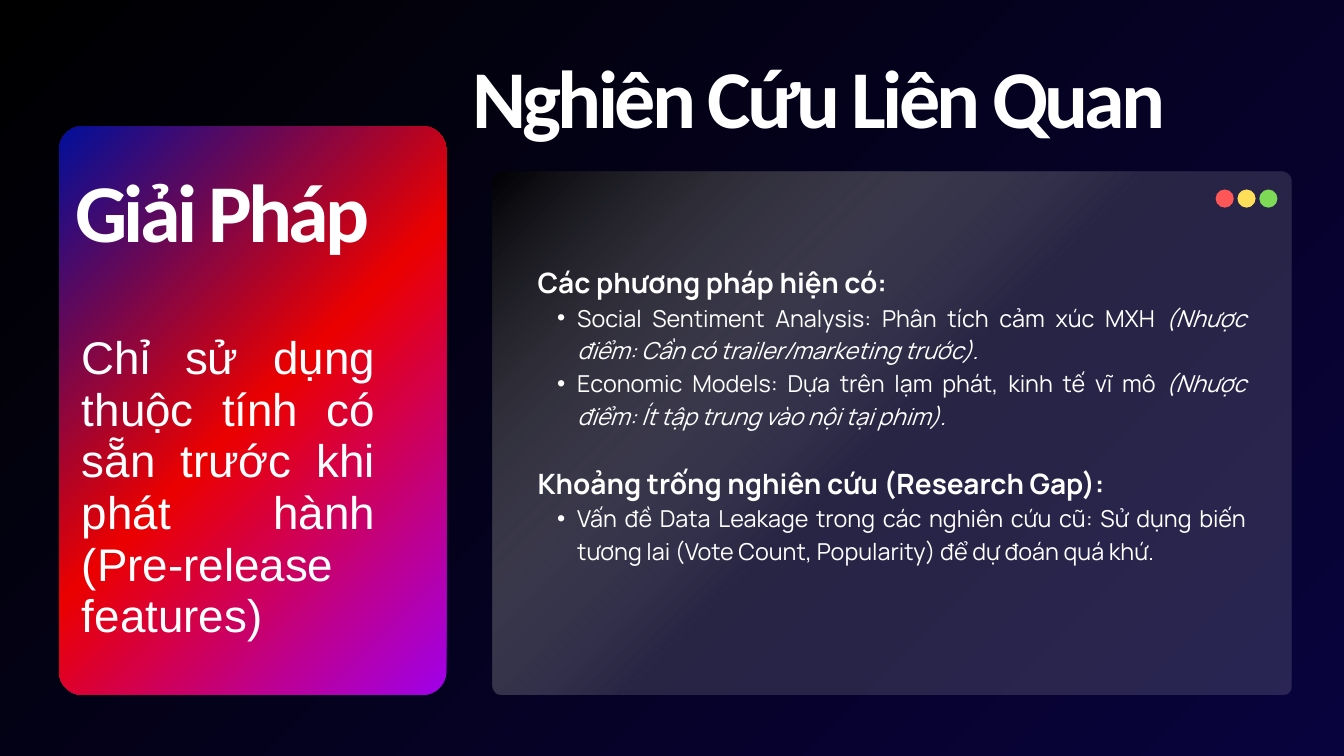
"""Build the related-research slide with its solution card and findings window."""
from dataclasses import dataclass

from lxml.etree import SubElement
from pptx import Presentation
from pptx.dml.color import RGBColor
from pptx.enum.shapes import MSO_SHAPE as Preset
from pptx.enum.text import PP_ALIGN as Align
from pptx.oxml.ns import qn
from pptx.util import Inches, Pt

WHITE = "FFFFFF"


@dataclass(frozen=True)
class Box:
    left: float
    top: float
    width: float
    height: float

    def lengths(self) -> list:
        return [Inches(v) for v in (self.left, self.top, self.width, self.height)]


@dataclass(frozen=True)
class Stop:
    position: int
    colour: str
    opacity: int = 100


@dataclass(frozen=True)
class Finding:
    text: str
    drawback: str = ""


@dataclass(frozen=True)
class Section:
    heading: str
    findings: tuple[Finding, ...]


SECTIONS = (
    Section("Các phương pháp hiện có:", (
        Finding("Social Sentiment Analysis: Phân tích cảm xúc MXH ",
                "(Nhược điểm: Cần có trailer/marketing trước)."),
        Finding("Economic Models: Dựa trên lạm phát, kinh tế vĩ mô ",
                "(Nhược điểm: Ít tập trung vào nội tại phim)."),
    )),
    Section("Khoảng trống nghiên cứu (Research Gap):", (
        Finding("Vấn đề Data Leakage trong các nghiên cứu cũ: Sử dụng biến tương lai "
                "(Vote Count, Popularity) để dự đoán quá khứ."),
    )),
)


def rgb(colour: str) -> RGBColor:
    return RGBColor.from_string(colour)


def set_gradient(fill, owner, stops: tuple[Stop, ...], angle: int | None = None) -> None:
    """Fill with a linear gradient, or a radial one from the top left without an angle."""
    fill.gradient()
    gradient = next(owner.iter(qn("a:gradFill")))
    for child in list(gradient):
        gradient.remove(child)
    stop_list = SubElement(gradient, qn("a:gsLst"))
    for stop in stops:
        mark = SubElement(stop_list, qn("a:gs"), pos=str(stop.position * 1000))
        colour = SubElement(mark, qn("a:srgbClr"), val=stop.colour)
        if stop.opacity < 100:
            SubElement(colour, qn("a:alpha"), val=str(stop.opacity * 1000))
    if angle is None:
        radial = SubElement(gradient, qn("a:path"), path="circle")
        SubElement(radial, qn("a:fillToRect"), r="100000", b="100000")
    else:
        SubElement(gradient, qn("a:lin"), ang=str(angle * 60000), scaled="0")


def add_plain_shape(slide, preset: Preset, box: Box):
    shape = slide.shapes.add_shape(preset, *box.lengths())
    shape.shadow.inherit = False
    shape.line.fill.background()
    return shape


def add_panel(slide, box: Box, radius: float, stops: tuple[Stop, ...],
              angle: int | None = None) -> None:
    panel = add_plain_shape(slide, Preset.ROUNDED_RECTANGLE, box)
    panel.adjustments[0] = radius / min(box.width, box.height)
    set_gradient(panel.fill, panel.element.spPr, stops, angle)


def add_dot(slide, box: Box, colour: str) -> None:
    dot = add_plain_shape(slide, Preset.OVAL, box)
    dot.fill.solid()
    dot.fill.fore_color.rgb = rgb(colour)


def add_frame(slide, box: Box):
    frame = slide.shapes.add_textbox(*box.lengths()).text_frame
    frame.word_wrap = True
    frame.margin_left = frame.margin_right = frame.margin_top = frame.margin_bottom = 0
    return frame


def next_paragraph(frame, spacing: float, align: Align = Align.JUSTIFY, bullet: bool = False):
    first = frame.paragraphs[0]
    paragraph = first if not first.runs else frame.add_paragraph()
    paragraph.alignment = align
    paragraph.line_spacing = Pt(spacing)
    if bullet:
        paragraph.level = 1
        properties = paragraph._p.get_or_add_pPr()
        properties.set("marL", str(Inches(0.59)))
        properties.set("indent", str(Inches(-0.3)))
        SubElement(properties, qn("a:buFont"), typeface="Arial")
        SubElement(properties, qn("a:buChar"), char="•")
    return paragraph


def write(paragraph, text: str, *, size: float, font: str = "Manrope", colour: str = WHITE,
          bold: bool = False, italic: bool = False, tracking: float = 0) -> None:
    run = paragraph.add_run()
    run.text = text
    run.font.size = Pt(size)
    run.font.name = font
    run.font.color.rgb = rgb(colour)
    run.font.bold = bold
    run.font.italic = italic
    if tracking:
        run.font._element.set("spc", str(round(tracking * 100)))


def add_title(slide, box: Box, text: str) -> None:
    paragraph = next_paragraph(add_frame(slide, box), 89.8, Align.LEFT)
    write(paragraph, text, size=88, font="Calibri", bold=True, tracking=-4)


def add_sections(slide, box: Box, sections: tuple[Section, ...]) -> None:
    frame = add_frame(slide, box)
    for section in sections:
        write(next_paragraph(frame, 75), section.heading, size=30, bold=True)
        for finding in section.findings:
            paragraph = next_paragraph(frame, 35, bullet=True)
            write(paragraph, finding.text, size=25)
            if finding.drawback:
                write(paragraph, finding.drawback, size=25, italic=True)


def main() -> None:
    deck = Presentation()
    deck.slide_width, deck.slide_height = Inches(20), Inches(11.25)
    slide = deck.slides.add_slide(deck.slide_layouts[6])
    set_gradient(slide.background.fill, slide.element,
                 (Stop(0, "000000"), Stop(100, "09033D")))

    add_panel(slide, Box(7.33, 2.55, 11.89, 7.79), 0.16,
              (Stop(0, "000000", 78), Stop(50, "DDDDDD", 15), Stop(100, "DDDDDD", 15)), angle=45)
    add_panel(slide, Box(0.88, 1.88, 5.76, 8.46), 0.35,
              (Stop(0, "000F9B"), Stop(50, "EB0000"), Stop(100, "A000EB")))

    add_sections(slide, Box(8, 3.41, 10.54, 6.02), SECTIONS)
    solution = next_paragraph(add_frame(slide, Box(1.22, 4.94, 4.36, 4.57)), 55.4)
    write(solution, "Chỉ sử dụng thuộc tính có sẵn trước khi phát hành (Pre-release features)",
          size=49, font="Arial")
    add_title(slide, Box(7.03, 0.91, 12.48, 1.4), "Nghiên Cứu Liên Quan")
    add_title(slide, Box(1.12, 2.61, 5.32, 1.4), "Giải Pháp")

    for index, colour in enumerate(("FF5757", "FFDE59", "7ED957")):
        add_dot(slide, Box(18.09 + index * 0.325, 2.82, 0.27, 0.27), colour)

    deck.save("out.pptx")


if __name__ == "__main__":
    main()
